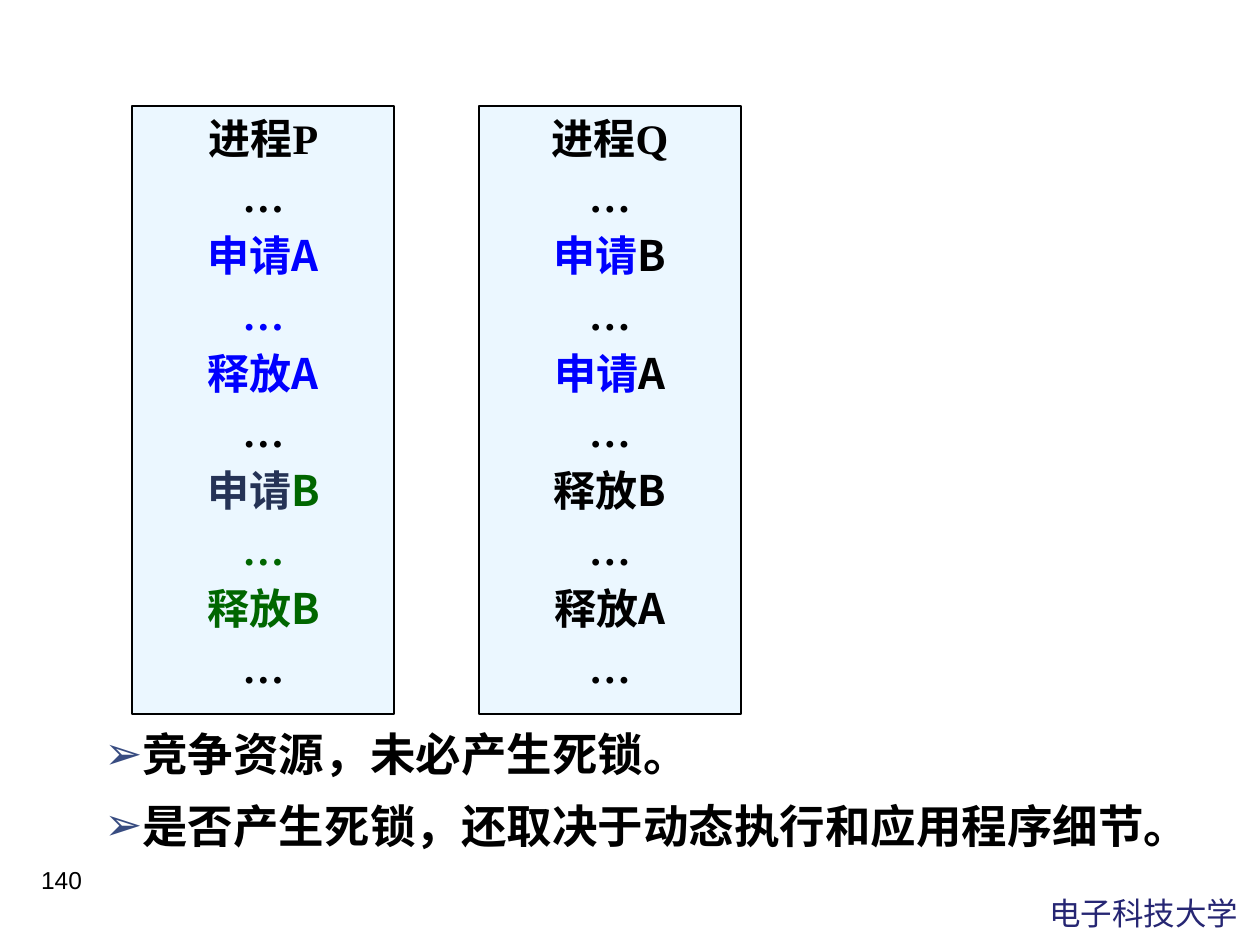
"""Slide comparing the resource requests of processes P and Q."""
from lxml import etree
from pptx import Presentation
from pptx.dml.color import RGBColor
from pptx.enum.shapes import MSO_SHAPE
from pptx.enum.text import MSO_ANCHOR, PP_ALIGN
from pptx.oxml.ns import qn
from pptx.util import Inches, Pt

RECT = MSO_SHAPE.RECTANGLE
TOP = MSO_ANCHOR.TOP
CENTER, RIGHT = PP_ALIGN.CENTER, PP_ALIGN.RIGHT
SANS, SERIF, CJK = "Arial", "Times New Roman", "Noto Sans CJK SC"
COLORS = {"black": "000000", "blue": "0000FF", "green": "006600", "slate": "253356",
          "navy": "262673", "bullet": "384C81", "panel": "CCECFF"}


def add_run(p, text, size, font, color, bold=False):
    r = p.add_run()
    r.text = text
    r.font.size = Pt(size)
    r.font.bold = bold
    r.font.name = font
    r.font.color.rgb = RGBColor.from_string(COLORS[color])
    if text != "…":
        etree.SubElement(r.font._element, qn("a:ea"), typeface=CJK)


def add_text(x, y, w, h, wrap=True):
    tf = s.shapes.add_textbox(Inches(x), Inches(y), Inches(w), Inches(h)).text_frame
    tf.word_wrap = wrap
    return tf


prs = Presentation()
prs.slide_width, prs.slide_height = Inches(10), Inches(7.5)
s = prs.slides.add_slide(prs.slide_layouts[6])

p = add_text(8.23, 7.05, 1.73, 0.4, wrap=False).paragraphs[0]
add_run(p, "电子科技大学", 18, SANS, "navy")

p = add_text(0.12, 6.82, 0.63, 0.5).paragraphs[0]
p.alignment = RIGHT
add_run(p, "140", 14, SANS, "black")

tf = add_text(0.73, 5.8, 9, 1.08)
conclusions = ["竞争资源，未必产生死锁。", "是否产生死锁，还取决于动态执行和应用程序细节。"]
for i, text in enumerate(conclusions):
    p = tf.add_paragraph() if i else tf.paragraphs[0]
    p.line_spacing = 0.8
    if i:
        p.space_before = Pt(16)
    pPr = p._p.get_or_add_pPr()
    pPr.set("marL", str(Inches(0.25)))
    pPr.set("indent", str(-Inches(0.25)))
    clr = etree.SubElement(pPr, qn("a:buClr"))
    etree.SubElement(clr, qn("a:srgbClr"), val=COLORS["bullet"])
    etree.SubElement(pPr, qn("a:buFont"), typeface=SANS)
    etree.SubElement(pPr, qn("a:buChar"), char="➢")
    add_run(p, text, 26, SANS, "black", bold=True)

processes = [
    ("进程P", [[("申请A", "blue")], [("释放A", "blue")],
              [("申请", "slate"), ("B", "green")], [("释放B", "green")]],
     ["black", "blue", "black", "green", "black"]),
    ("进程Q", [[("申请", "blue"), ("B", "black")], [("申请", "blue"), ("A", "black")],
              [("释放B", "black")], [("释放A", "black")]],
     ["black"] * 5),
]
for col, (title, steps, dot_colors) in enumerate(processes):
    sp = s.shapes.add_shape(RECT, Inches(1.05 + 2.75 * col), Inches(0.84),
                            Inches(2.08), Inches(4.83))
    sp.shadow.inherit = False
    sp.fill.solid()
    sp.fill.fore_color.rgb = RGBColor.from_string(COLORS["panel"])
    srgb = sp.fill._xPr.find(".//" + qn("a:srgbClr"))
    etree.SubElement(srgb, qn("a:alpha"), val="39000")
    sp.line.color.rgb = RGBColor.from_string(COLORS["black"])
    sp.line.width = Pt(1)
    tf = sp.text_frame
    tf.word_wrap = True
    tf.vertical_anchor = TOP

    rows = [[(title, SERIF, "black")]]
    for i, dot_color in enumerate(dot_colors):
        rows.append([("…", SERIF, dot_color)])
        if i < len(steps):
            rows.append([(text, CJK, color) for text, color in steps[i]])
    for i, row in enumerate(rows):
        p = tf.add_paragraph() if i else tf.paragraphs[0]
        p.alignment = CENTER
        if i:
            before = etree.SubElement(p._p.get_or_add_pPr(), qn("a:spcBef"))
            etree.SubElement(before, qn("a:spcPct"), val="20000")
        for text, font, color in row:
            add_run(p, text, 24, font, color, bold=True)

prs.save("out.pptx")
